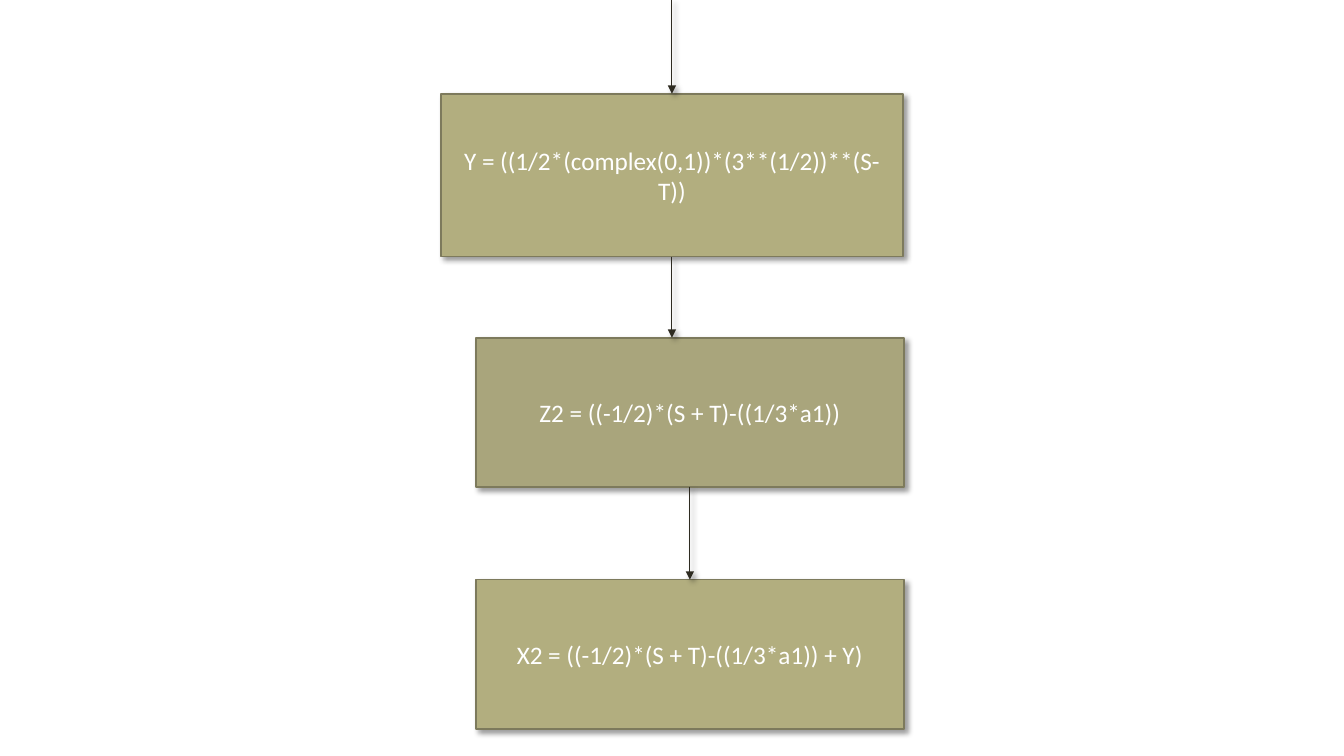
from lxml import etree
from pptx import Presentation
from pptx.dml.color import RGBColor
from pptx.enum.shapes import MSO_CONNECTOR, MSO_SHAPE
from pptx.enum.text import MSO_ANCHOR, PP_ALIGN
from pptx.oxml.ns import qn
from pptx.util import Pt

RECTANGLE = MSO_SHAPE.RECTANGLE
STRAIGHT = MSO_CONNECTOR.STRAIGHT
MIDDLE = MSO_ANCHOR.MIDDLE
CENTER = PP_ALIGN.CENTER
TOP_SIDE, BOTTOM_SIDE = 0, 2

SLIDE_WIDTH, SLIDE_HEIGHT = 960, 540
OLIVE, DARK_OLIVE = "B2AE7F", "A9A57C"
OUTLINE, ARROW, WHITE = "7D7A5C", "2E2B21", "FFFFFF"

# Formula, box (left, top, width, height) and fill of each step
STEPS = [
    ("Y = ((1/2*(complex(0,1))*(3**(1/2))**(S-T))", (314.75, 67, 330.5, 116.25), OLIVE),
    ("Z2 = ((-1/2)*(S + T)-((1/3*a1))", (339.75, 241.25, 306, 106.5), DARK_OLIVE),
    ("X2 = ((-1/2)*(S + T)-((1/3*a1)) + Y)", (339.75, 414, 306, 106.5), OLIVE),
]


def color(hex_string):
    return RGBColor.from_string(hex_string)


def add_shadow(effects):
    """Fill an effect list with a soft shadow to the lower right."""
    shadow = etree.SubElement(
        effects, qn("a:outerShdw"), blurRad=str(Pt(4)), dist=str(Pt(3)),
        dir=str(45 * 60000), algn="tl", rotWithShape="0")
    black = etree.SubElement(shadow, qn("a:srgbClr"), val="000000")
    etree.SubElement(black, qn("a:alpha"), val="40000")


def write_text(shape, text, size=18, font="Calibri", fill=WHITE, align=CENTER):
    frame = shape.text_frame
    frame.word_wrap = True
    frame.vertical_anchor = MIDDLE
    paragraph = frame.paragraphs[0]
    paragraph.alignment = align
    run = paragraph.add_run()
    run.text = text
    run.font.size = Pt(size)
    run.font.name = font
    run.font.color.rgb = color(fill)


def add_step(slide, text, box, fill):
    shape = slide.shapes.add_shape(RECTANGLE, *map(Pt, box))
    shape.fill.solid()
    shape.fill.fore_color.rgb = color(fill)
    shape.line.color.rgb = color(OUTLINE)
    shape.line.width = Pt(1.25)
    shape.shadow.inherit = False
    add_shadow(shape._element.spPr.find(qn("a:effectLst")))
    write_text(shape, text)
    return shape


def add_arrow(slide, x, top, bottom):
    """Draw a vertical arrow; all three values are slide lengths."""
    arrow = slide.shapes.add_connector(STRAIGHT, x, top, x, bottom)
    arrow.line.color.rgb = color(ARROW)
    arrow.line.width = Pt(0.75)
    properties = arrow._element.spPr
    etree.SubElement(properties.find(qn("a:ln")), qn("a:tailEnd"), type="triangle")
    add_shadow(etree.SubElement(properties, qn("a:effectLst")))
    return arrow


def add_flow(slide, steps):
    """Stack the steps, each entered by an arrow from the one before."""
    previous = None
    for text, box, fill in steps:
        shape = add_step(slide, text, box, fill)
        source = previous or shape
        x = source.left + source.width // 2
        start = previous.top + previous.height if previous else Pt(0)
        arrow = add_arrow(slide, x, start, shape.top)
        if previous:
            arrow.begin_connect(previous, BOTTOM_SIDE)
        # Only an arrow that meets the middle of the top side is joined
        if x == shape.left + shape.width // 2:
            arrow.end_connect(shape, TOP_SIDE)
        previous = shape


def main():
    presentation = Presentation()
    presentation.slide_width = Pt(SLIDE_WIDTH)
    presentation.slide_height = Pt(SLIDE_HEIGHT)
    slide = presentation.slides.add_slide(presentation.slide_layouts[6])
    add_flow(slide, STEPS)
    presentation.save("out.pptx")


if __name__ == "__main__":
    main()
